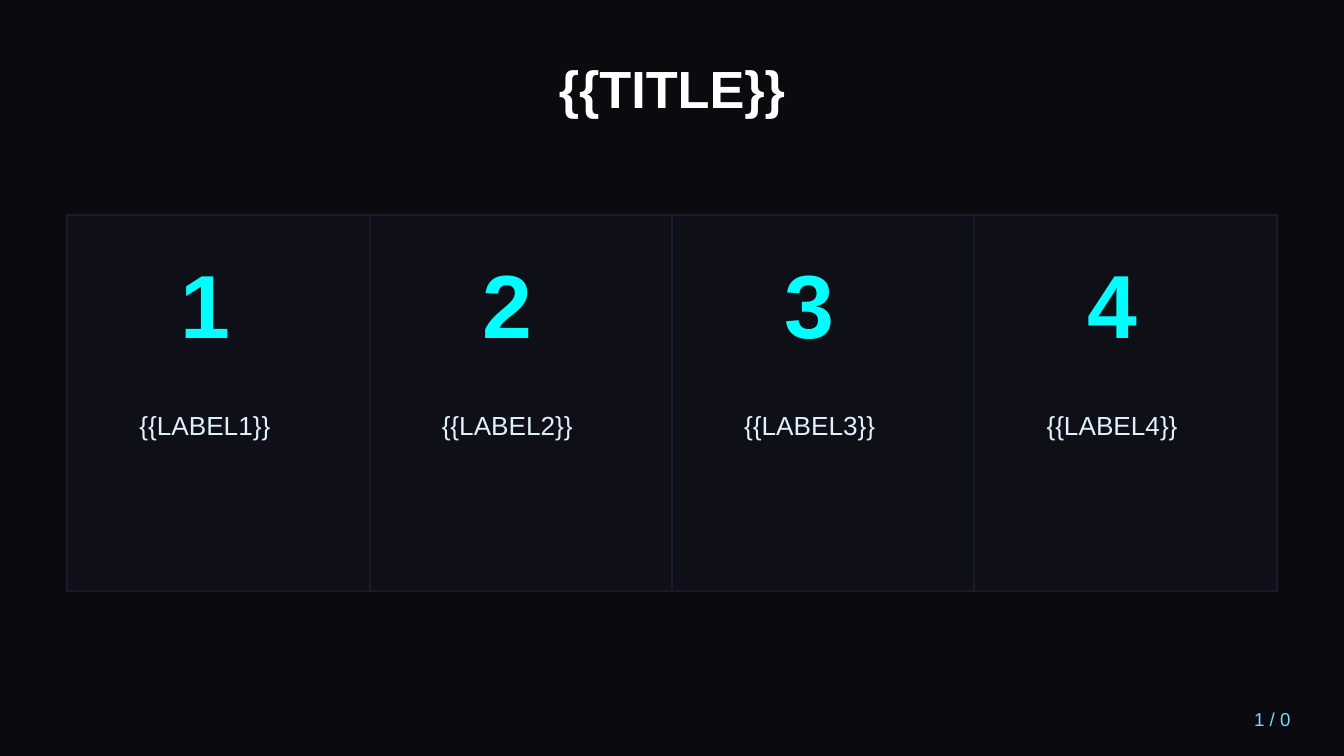
"""Build a dark slide with a title and four numbered cards."""
from dataclasses import dataclass

from pptx import Presentation
from pptx.dml.color import RGBColor
from pptx.enum.shapes import MSO_SHAPE
from pptx.enum.text import MSO_ANCHOR, MSO_AUTO_SIZE, PP_ALIGN
from pptx.shapes.autoshape import Shape
from pptx.slide import Slide
from pptx.util import Inches, Pt

RECTANGLE = MSO_SHAPE.RECTANGLE
TOP, MIDDLE = MSO_ANCHOR.TOP, MSO_ANCHOR.MIDDLE
CENTER, RIGHT = PP_ALIGN.CENTER, PP_ALIGN.RIGHT
NO_AUTOFIT = MSO_AUTO_SIZE.NONE

BACKGROUND = RGBColor(0x0A, 0x0A, 0x0F)
CARD_FILL = RGBColor(0x0F, 0x0F, 0x18)
CARD_LINE = RGBColor(0x1A, 0x1A, 0x2E)
WHITE = RGBColor(0xFF, 0xFF, 0xFF)
CYAN = RGBColor(0x00, 0xFF, 0xFF)
PALE_BLUE = RGBColor(0xE0, 0xF0, 0xFF)
SKY_BLUE = RGBColor(0x80, 0xD4, 0xFF)

TITLE_FORMAT = {"name": "Arial", "size": Pt(28), "bold": True}
NUMBER_FORMAT = {"name": "Arial", "size": Pt(48), "bold": True}
LABEL_FORMAT = {"name": "Arial", "size": Pt(14), "bold": False}
PAGE_FORMAT = {"name": "Arial", "size": Pt(10), "bold": False}

SLIDE_WIDTH = 10
SLIDE_HEIGHT = SLIDE_WIDTH * 9 / 16
TITLE_ONLY_LAYOUT = 5
CARD_COUNT = 4
CARD_LEFT, CARD_TOP = 0.5, 1.6
CARD_WIDTH, CARD_HEIGHT = 2.25, 2.8
CARD_TEXT_WIDTH = 2.05


@dataclass(frozen=True)
class Box:
    """A rectangle on the slide, in inches."""

    left: float
    top: float
    width: float
    height: float

    def lengths(self) -> tuple[Inches, ...]:
        """Return left, top, width and height as lengths."""
        return tuple(map(Inches, (self.left, self.top, self.width, self.height)))


@dataclass(frozen=True)
class Card:
    """A numbered card with a label."""

    left: float
    number: str
    label: str


def write_text(shape: Shape, text: str, font_format: dict, color: RGBColor,
               anchor: MSO_ANCHOR = MIDDLE, alignment: PP_ALIGN = CENTER) -> None:
    """Fill a shape with one formatted paragraph."""
    frame = shape.text_frame
    frame.word_wrap = True
    frame.auto_size = NO_AUTOFIT
    frame.vertical_anchor = anchor
    paragraph = frame.paragraphs[0]
    paragraph.alignment = alignment
    run = paragraph.add_run()
    run.text = text
    for attribute, value in font_format.items():
        setattr(run.font, attribute, value)
    run.font.color.rgb = color


def add_title(slide: Slide, text: str, box: Box) -> None:
    """Move and fill the title placeholder."""
    title = slide.shapes.title
    title.left, title.top, title.width, title.height = box.lengths()
    write_text(title, text, TITLE_FORMAT, WHITE)


def add_text(slide: Slide, box: Box, text: str, font_format: dict, color: RGBColor,
             anchor: MSO_ANCHOR = MIDDLE, alignment: PP_ALIGN = CENTER) -> None:
    """Add a text box."""
    text_box = slide.shapes.add_textbox(*box.lengths())
    write_text(text_box, text, font_format, color, anchor, alignment)


def add_card(slide: Slide, card: Card) -> None:
    """Draw a card panel with its number and label."""
    box = Box(card.left, CARD_TOP, CARD_WIDTH, CARD_HEIGHT)
    panel = slide.shapes.add_shape(RECTANGLE, *box.lengths())
    panel.shadow.inherit = False
    panel.fill.solid()
    panel.fill.fore_color.rgb = CARD_FILL
    panel.line.color.rgb = CARD_LINE
    panel.line.width = Pt(1)
    number_box = Box(card.left, 1.5, CARD_TEXT_WIDTH, 1.5)
    add_text(slide, number_box, card.number, NUMBER_FORMAT, CYAN)
    label_box = Box(card.left, 3, CARD_TEXT_WIDTH, 1)
    add_text(slide, label_box, card.label, LABEL_FORMAT, PALE_BLUE, anchor=TOP)


def main() -> None:
    """Create and save the presentation."""
    presentation = Presentation()
    presentation.slide_width = Inches(SLIDE_WIDTH)
    presentation.slide_height = Inches(SLIDE_HEIGHT)
    slide = presentation.slides.add_slide(presentation.slide_layouts[TITLE_ONLY_LAYOUT])
    slide.background.fill.solid()
    slide.background.fill.fore_color.rgb = BACKGROUND

    add_title(slide, "{{TITLE}}", Box(0.5, 0.3, 9, 0.7))
    for index in range(CARD_COUNT):
        number = str(index + 1)
        left = CARD_LEFT + index * CARD_WIDTH
        add_card(slide, Card(left, number, f"{{{{LABEL{number}}}}}"))
    add_text(slide, Box(8.5, 5.2, 1.2, 0.3), "1 / 0", PAGE_FORMAT, SKY_BLUE, alignment=RIGHT)

    presentation.save("out.pptx")


if __name__ == "__main__":
    main()
